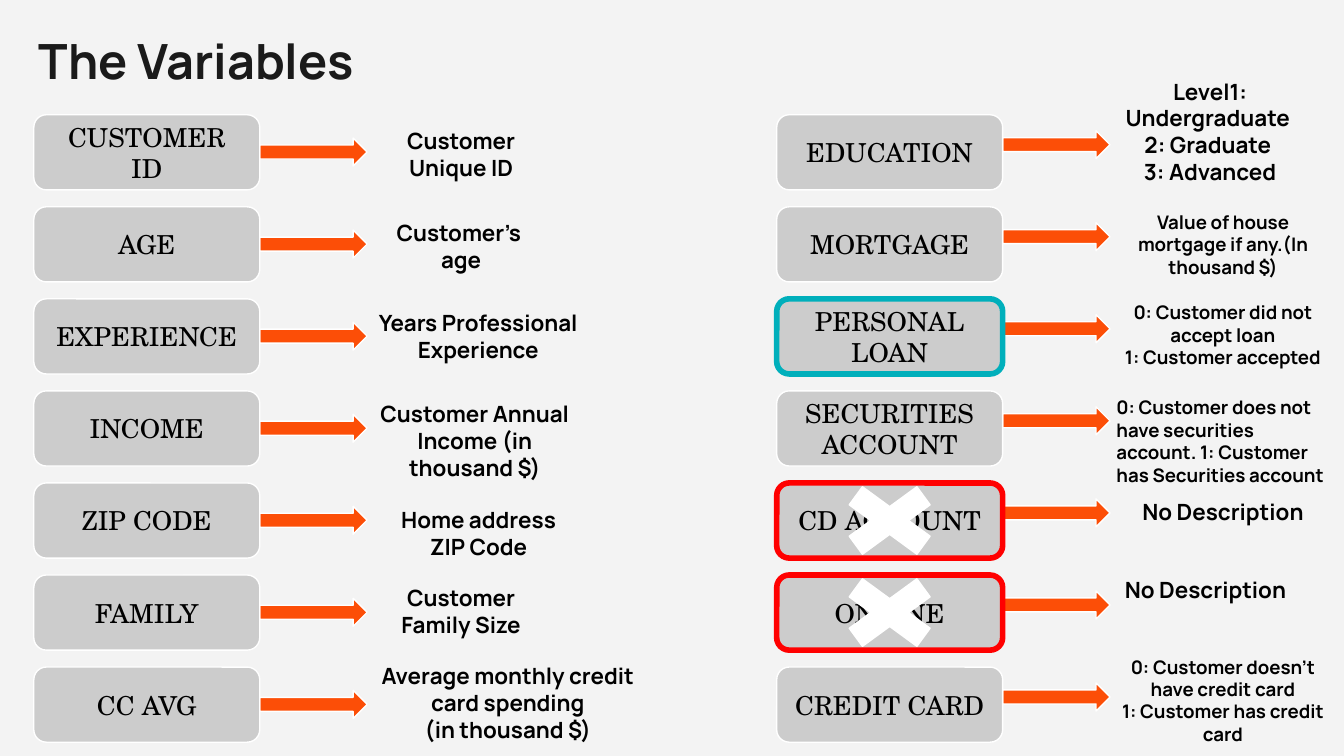
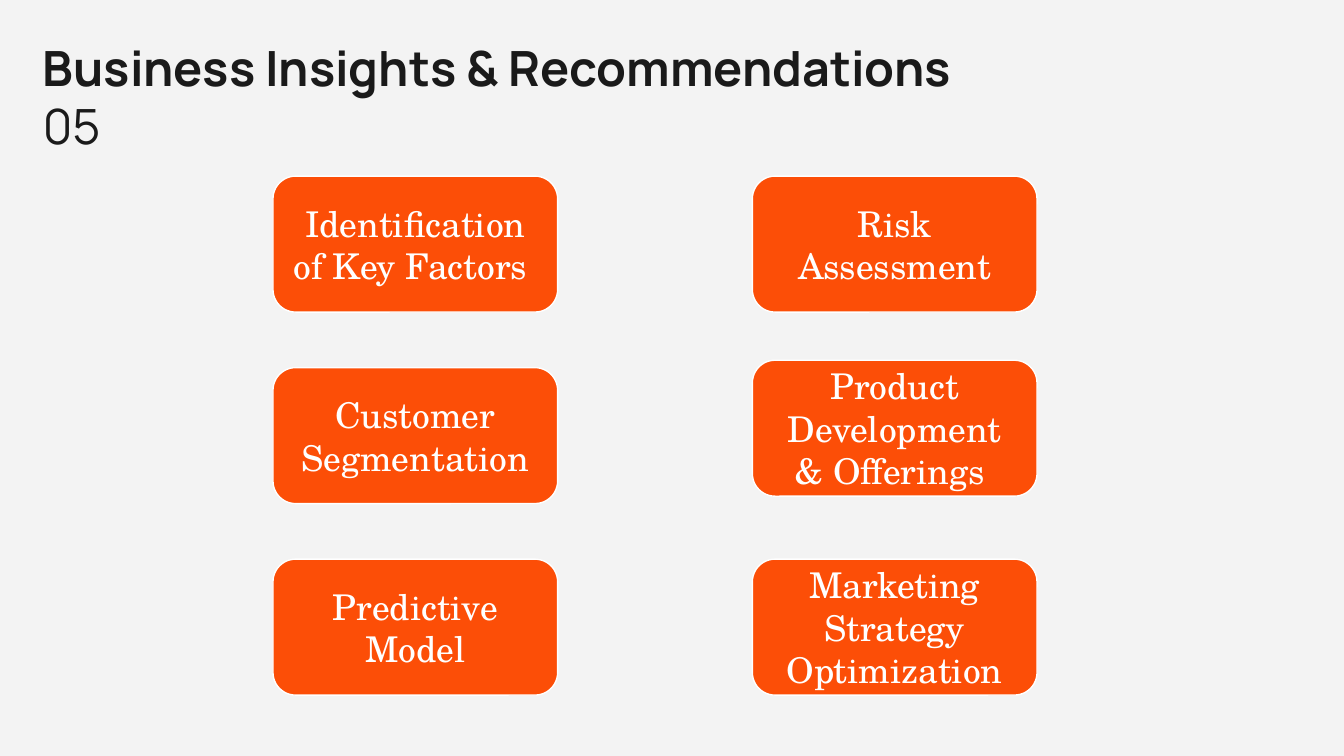
from pptx import Presentation
from pptx.dml.color import RGBColor
from pptx.enum.shapes import MSO_SHAPE
from pptx.enum.text import MSO_ANCHOR, MSO_AUTO_SIZE, PP_ALIGN
from pptx.util import Cm, Pt

ROUNDED = MSO_SHAPE.ROUNDED_RECTANGLE
ARROW = MSO_SHAPE.RIGHT_ARROW
CROSS = MSO_SHAPE.MATH_MULTIPLY
TOP, MIDDLE = MSO_ANCHOR.TOP, MSO_ANCHOR.MIDDLE
LEFT, CENTER = PP_ALIGN.LEFT, PP_ALIGN.CENTER
FIXED, GROW = MSO_AUTO_SIZE.NONE, MSO_AUTO_SIZE.SHAPE_TO_FIT_TEXT
TITLE_ONLY = 5

COLORS = {
    "background": "F3F3F3",
    "title": "1A1A1A",
    "text": "000000",
    "white": "FFFFFF",
    "grey": "CCCCCC",
    "orange": "FC4E07",
    "teal": "00AFBB",
    "red": "FF0000",
}
SANS, SERIF = "Manrope", "TeX Gyre Schola"
INSET = 0.25

# Variable grid, in centimetres
FIRST_TOP, ROW_STEP = 2.17, 1.74
BOX_WIDTH, BOX_HEIGHT = 4.27, 1.42
ARROW_WIDTH, ARROW_HEIGHT = 2.03, 0.53
CROSS_WIDTH, CROSS_HEIGHT = 2.46, 1.8

# Each variable: name, note paragraphs, note (left, top, width, lines), extras
LEFT_VARIABLES = [
    ("CUSTOMER ID", ["Customer Unique ID"], (6.91, 2.16, 3.61, 2), {}),
    ("AGE", ["Customer’s ", "age"], (6.91, 3.89, 3.61, 2), {}),
    ("EXPERIENCE", ["Years Professional Experience"],
     (6.78, 5.59, 4.52, 2), {}),
    ("INCOME", ["Customer Annual Income (in thousand $)"],
     (6.65, 7.32, 4.65, 3), {}),
    ("ZIP CODE", ["Home address ZIP Code"], (7.24, 9.32, 3.61, 2), {}),
    ("FAMILY", ["Customer Family Size"], (6.91, 10.8, 3.61, 2), {}),
    ("CC AVG", ["Average monthly credit card spending", "(in thousand $)"],
     (6.91, 12.27, 5.38, 3), {}),
]
RIGHT_VARIABLES = [
    ("EDUCATION", ["Level1: Undergraduate ", "2: Graduate ", "3: Advanced"],
     (20.85, 1.22, 4.04, 4), {}),
    ("MORTGAGE", ["Value of house mortgage if any.(In thousand $)"],
     (20.98, 3.73, 4.27, 3), {"size": 10}),
    ("PERSONAL LOAN",
     ["0: Customer did not accept loan", "1: Customer accepted"],
     (20.85, 5.44, 4.52, 3), {"size": 10, "outline": "teal"}),
    ("SECURITIES ACCOUNT",
     ["0: Customer does not have securities account. "
      "1: Customer has Securities account"],
     (20.85, 7.24, 4.65, 4), {"size": 10, "align": LEFT}),
    ("CD ACCOUNT", ["No Description"], (21.31, 9.17, 3.61, 1),
     {"outline": "red", "crossed": True}),
    ("ONLINE", ["No Description"], (20.98, 10.64, 3.61, 1),
     {"outline": "red", "crossed": True}),
    ("CREDIT CARD",
     ["0: Customer doesn’t have credit card", "1: Customer has credit card"],
     (20.85, 12.14, 4.52, 4), {"size": 10}),
]
# Column left edge and arrow offset below the box top
VARIABLE_COLUMNS = [(0.64, 0.44, LEFT_VARIABLES),
                    (14.68, 0.3, RIGHT_VARIABLES)]

# Insight cards: column left edge, then top and text of each card
INSIGHT_COLUMNS = [
    (5.16, [(3.33, "Identification of Key Factors "),
            (6.95, "Customer Segmentation"),
            (10.57, "Predictive Model")]),
    (14.22, [(3.33, "Risk Assessment"),
             (6.81, "Product Development & Offerings "),
             (10.57, "Marketing Strategy Optimization")]),
]


def rgb(name):
    return RGBColor.from_string(COLORS[name])


class Deck:
    def __init__(self):
        self.presentation = Presentation()
        self.presentation.slide_width = Cm(25.4)
        self.presentation.slide_height = Cm(14.29)
        fill = self.presentation.slide_master.background.fill
        fill.solid()
        fill.fore_color.rgb = rgb("background")
        self.slide = None

    def add_slide(self):
        layout = self.presentation.slide_layouts[TITLE_ONLY]
        self.slide = self.presentation.slides.add_slide(layout)

    def set_text(self, shape, lines, font, size, color, bold=(False,),
                 align=CENTER, anchor=MIDDLE, auto_size=FIXED):
        """Fill the shape's text; the last bold value serves later lines."""
        frame = shape.text_frame
        frame_format = {"word_wrap": True, "auto_size": auto_size,
                        "vertical_anchor": anchor}
        for side in ("left", "top", "right", "bottom"):
            frame_format["margin_" + side] = Cm(INSET)
        for name, value in frame_format.items():
            setattr(frame, name, value)
        for index, line in enumerate(lines):
            paragraph = frame.add_paragraph() if index else frame.paragraphs[0]
            paragraph.alignment = align
            run = paragraph.add_run()
            run.text = line
            font_format = {"name": font, "size": Pt(size),
                           "bold": bold[min(index, len(bold) - 1)]}
            for name, value in font_format.items():
                setattr(run.font, name, value)
            run.font.color.rgb = rgb(color)

    def title(self, lines, left, top, width, height, bold=(True,)):
        shape = self.slide.shapes.title
        place = {"left": left, "top": top, "width": width, "height": height}
        for name, value in place.items():
            setattr(shape, name, Cm(value))
        self.set_text(shape, lines, SANS, 26, "title", bold, LEFT, TOP)

    def shape(self, kind, left, top, width, height, fill,
              outline="white", weight=0.75):
        shape = self.slide.shapes.add_shape(
            kind, Cm(left), Cm(top), Cm(width), Cm(height))
        shape.shadow.inherit = False
        shape.fill.solid()
        shape.fill.fore_color.rgb = rgb(fill)
        shape.line.color.rgb = rgb(outline)
        shape.line.width = Pt(weight)
        return shape

    def variable_box(self, name, left, top, outline):
        box = self.shape(ROUNDED, left, top, BOX_WIDTH, BOX_HEIGHT, "grey",
                         outline or "white", 3 if outline else 0.75)
        self.set_text(box, [name], SERIF, 14, "text")

    def insight_card(self, text, left, top):
        card = self.shape(ROUNDED, left, top, 5.38, 2.57, "orange")
        self.set_text(card, [text], SERIF, 19, "white")

    def note(self, paragraphs, left, top, width, lines, size, align):
        height = 2 * INSET + 0.043 * size * lines
        box = self.slide.shapes.add_textbox(
            Cm(left), Cm(top), Cm(width), Cm(height))
        self.set_text(box, paragraphs, SANS, size, "text", (True,),
                      align, TOP, GROW)


def build_variables(deck):
    deck.add_slide()
    deck.title(["The Variables"], 0.48, 0.33, 10.82, 1.17)
    for left, arrow_offset, variables in VARIABLE_COLUMNS:
        for row, (name, paragraphs, place, extras) in enumerate(variables):
            top = FIRST_TOP + row * ROW_STEP
            deck.shape(ARROW, left + BOX_WIDTH, top + arrow_offset,
                       ARROW_WIDTH, ARROW_HEIGHT, "orange")
            deck.variable_box(name, left, top, extras.get("outline"))
            deck.note(paragraphs, *place, extras.get("size", 12),
                      extras.get("align", CENTER))
            # Dropped variables are crossed out
            if extras.get("crossed"):
                deck.shape(CROSS, left + (BOX_WIDTH - CROSS_WIDTH) / 2,
                           top + (BOX_HEIGHT - CROSS_HEIGHT) / 2,
                           CROSS_WIDTH, CROSS_HEIGHT, "white")


def build_insights(deck):
    deck.add_slide()
    deck.title(["Business Insights & Recommendations", "05"],
               0.56, 0.46, 18.64, 2.87, bold=(True, False))
    for left, cards in INSIGHT_COLUMNS:
        for top, text in cards:
            deck.insight_card(text, left, top)


def main():
    deck = Deck()
    build_variables(deck)
    build_insights(deck)
    deck.presentation.save("out.pptx")


if __name__ == "__main__":
    main()
